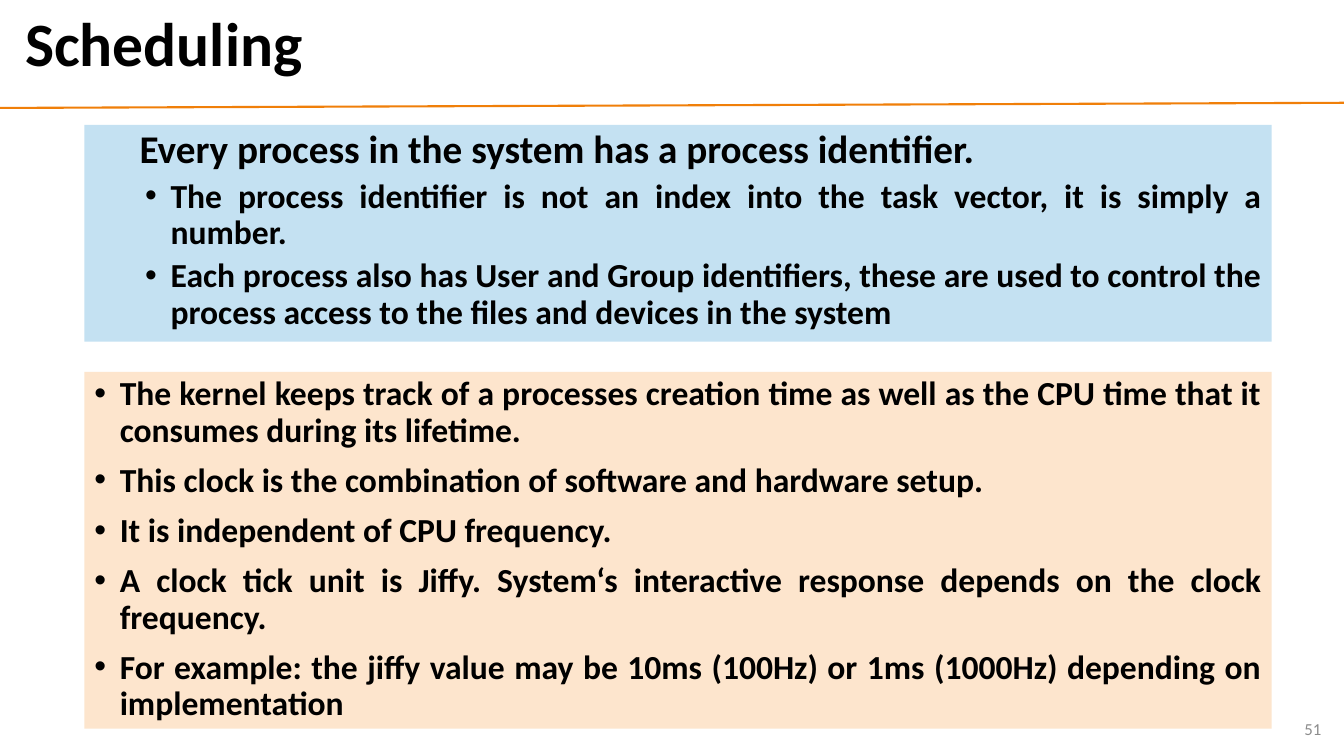
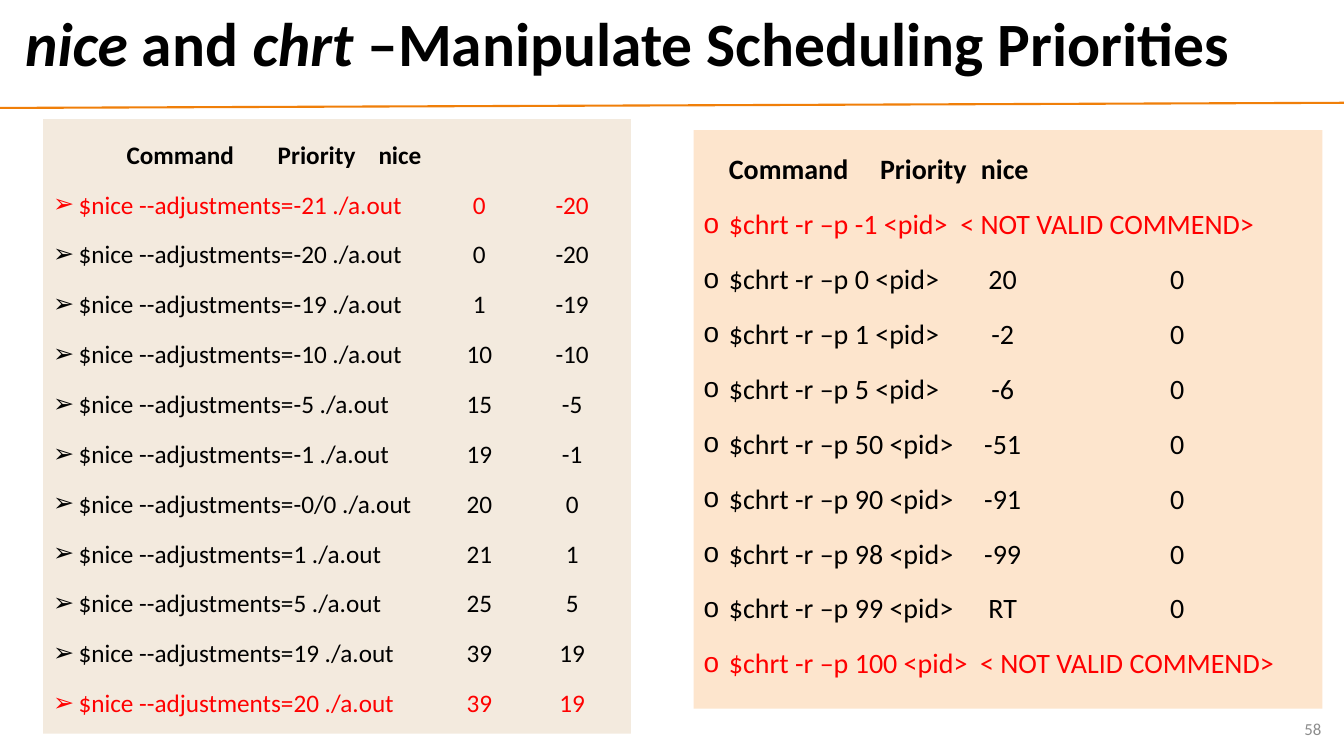
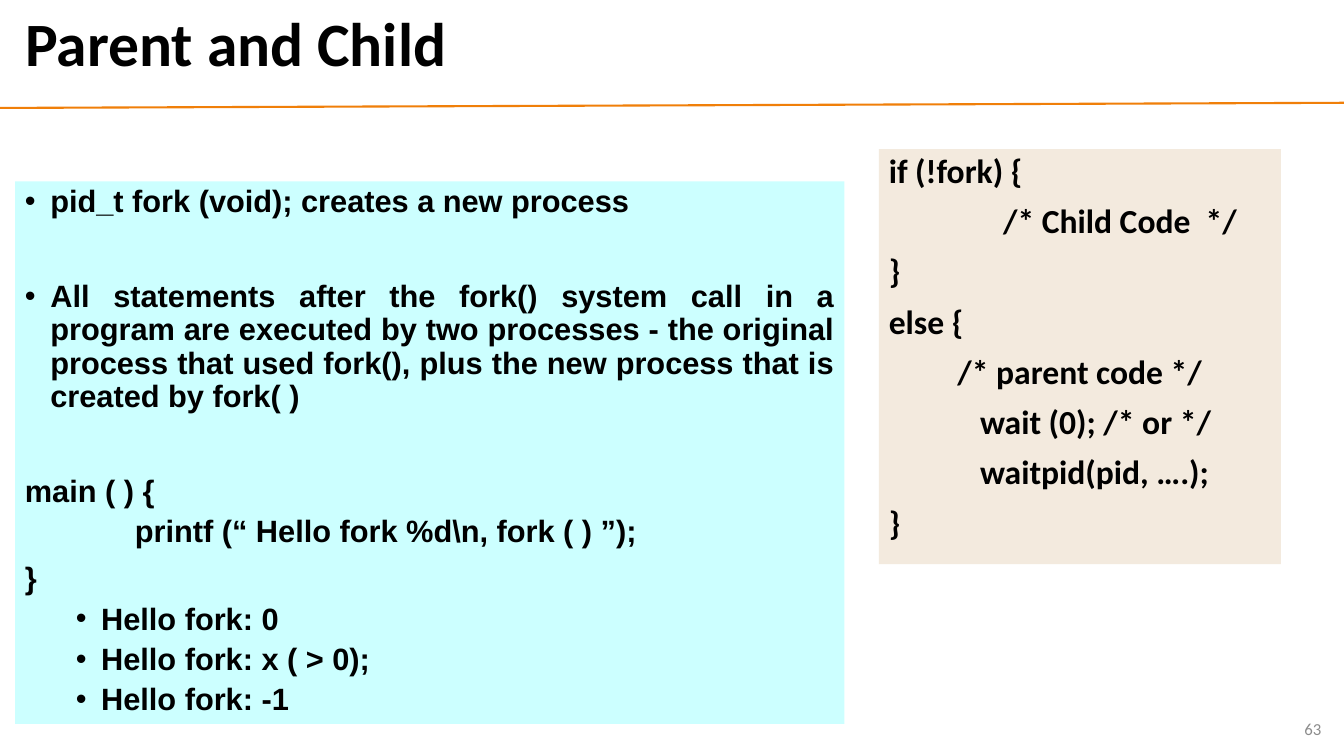
"""Builds three lecture slides on process scheduling."""
from lxml.etree import SubElement
from pptx import Presentation
from pptx.dml.color import RGBColor
from pptx.enum.shapes import MSO_CONNECTOR, MSO_SHAPE
from pptx.enum.text import MSO_ANCHOR, MSO_AUTO_SIZE, PP_ALIGN
from pptx.oxml.ns import qn
from pptx.util import Cm, Pt

HUES = {"ink": "000000", "red": "FF0000", "gray": "8C8C8C", "rule": "F07F09",
        "blue": "C4E1F2", "peach": "FDE5CD", "sand": "F3EADE", "aqua": "CCFFFF"}
STEP = 0.64
WIDTH, HEIGHT = 33.87, 19.05

DOT = {"mark": "•", "left": STEP, "hang": STEP}
SUB = {"mark": "•", "left": 3 * STEP, "hang": STEP, "before": 5}

IDENT = [
    ("Every process in the system has a process identifier.", {"size": 28, "left": 1.14}),
    ("The process identifier is not an index into the task vector, it is simply a number.", SUB),
    ("Each process also has User and Group identifiers, these are used to control the "
     "process access to the files and devices in the system", SUB),
]
CLOCK = [(text, DOT) for text in (
    "The kernel keeps track of a processes creation time as well as the CPU time that it "
    "consumes during its lifetime.",
    "This clock is the combination of software and hardware setup.",
    "It is independent of CPU frequency.",
    "A clock tick unit is Jiffy. System‘s interactive response depends on the clock frequency.",
    "For example: the jiffy value may be 10ms (100Hz) or 1ms (1000Hz) depending on implementation",
)]

NICE = [("-21", "0", "-20"), ("-20", "0", "-20"), ("-19", "1", "-19"), ("-10", "10", "-10"),
        ("-5", "15", "-5"), ("-1", "19", "-1"), ("-0/0", "20", "0"), ("1", "21", "1"),
        ("5", "25", "5"), ("19", "39", "19"), ("20", "39", "19")]
CHRT = [("0", "20"), ("1", "-2"), ("5", "-6"), ("50", "-51"), ("90", "-91"),
        ("98", "-99"), ("99", "RT")]
HEAD = "Command\tPriority\tnice"
NICE_ROWS = [f"$nice --adjustments={adj} ./a.out\t{prio}\t{nice}" for adj, prio, nice in NICE]
CHRT_ROWS = [f"$chrt -r –p {num} <pid>\t{prio}\t0" for num, prio in CHRT]
BAD = [f"$chrt -r –p {num} <pid>  < NOT VALID COMMEND>" for num in ("-1", "100")]
CHRT_ROWS = [BAD[0], *CHRT_ROWS, BAD[1]]

FORK = [
    ("pid_t fork (void); creates a new process", DOT),
    ("All statements after the fork() system call in a program are executed by two processes "
     "- the original process that used fork(), plus the new process that is created by fork( )",
     {**DOT, "before": 44}),
    ("main ( ) {", {"before": 44}),
    ("printf (“ Hello fork %d\\n, fork ( ) ”);", {"left": 2.77, "before": 5}),
    ("}", {}),
    ("Hello fork: 0", SUB),
    ("Hello fork: x ( > 0);", SUB),
    ("Hello fork: -1", SUB),
]
CODE = [(text, {"left": left}) for text, left in (
    ("if (!fork) {", 0), ("/* Child Code  */", 2.88), ("}", 0), ("else {", 0),
    ("/* parent code */", 1.73), ("wait (0); /* or */", 2.3),
    ("waitpid(pid, ….);", 2.3), ("}", 0))]


def grid(rows, mark, head, tabs):
    """Returns a heading and marked rows, the first and last of them red."""
    ends = (0, len(rows) - 1)
    return [(HEAD, {"bold": True, **head})] + [
        (text, {"mark": mark, "left": STEP, "hang": STEP, "tabs": tabs,
                "hue": "red" if i in ends else "ink"}) for i, text in enumerate(rows)]


BODY = {"align": PP_ALIGN.JUSTIFY, "bold": True, "size": 24}
LIST = {"space": 1.5, "before": 3.2}
MID = (("ctr", 7.54), ("ctr", 11.94))
NICE_HEAD = {"left": 1.85, "tabs": (("l", 8.46), ("l", 11.43))}
NICE_TABS = (("ctr", 10.74), ("ctr", 13.08))

SLIDES = [
    ([("Scheduling", False)], "51", [
        ((2.13, 3.15, 29.92, 5.46), "blue", IDENT, BODY),
        ((2.13, 9.37, 29.92, 8.99), "peach", CLOCK, {**BODY, "before": 5, "after": 5})]),
    ([("nice", True), (" and ", False), ("chrt", True),
      (" –Manipulate Scheduling Priorities", False)], "58", [
        ((17.48, 3.28, 15.85, 14.58), "peach",
         grid(CHRT_ROWS, "o", {"left": STEP, "tabs": MID}, MID), {**LIST, "size": 20}),
        ((1.09, 3, 14.81, 15.49), "sand",
         grid(NICE_ROWS, "➢", NICE_HEAD, NICE_TABS), {**LIST, "size": 18})]),
    ([("Parent and Child", False)], "63", [
        ((0.38, 4.57, 20.9, 13.67), "aqua", FORK, {**BODY, "size": 22, "font": "Arial"}),
        ((22.15, 3.76, 10.13, 10.46), "sand", CODE, {"bold": True, "size": 24})]),
]


def tint(hue):
    """Returns the named colour."""
    return RGBColor.from_string(HUES[hue])


def write(frame, text, size=24, font="Calibri", hue="ink", bold=False, align=PP_ALIGN.LEFT,
          space=0.9, before=10, after=0, left=0, hang=0, mark=None, tabs=()):
    """Adds a paragraph of text, or of (text, italic) parts, to a frame."""
    para = frame.add_paragraph() if frame.text else frame.paragraphs[0]
    para.alignment, para.line_spacing = align, space
    para.space_before, para.space_after = Pt(before), Pt(after)
    for part, slant in [(text, False)] if isinstance(text, str) else text:
        run = para.add_run()
        run.text = part
        face = run.font
        face.name, face.size, face.bold, face.italic = font, Pt(size), bold, slant
        face.color.rgb = tint(hue)
    prop = para._p.get_or_add_pPr()
    prop.set("marL", str(Cm(left)))
    prop.set("indent", str(-Cm(hang)))
    if mark:
        SubElement(prop, qn("a:buFont"), typeface="Arial")
        SubElement(prop, qn("a:buChar"), char=mark)
    else:
        SubElement(prop, qn("a:buNone"))
    if tabs:
        stops = SubElement(prop, qn("a:tabLst"))
        for algn, pos in tabs:
            SubElement(stops, qn("a:tab"), pos=str(Cm(pos)), algn=algn)


def place(shape, box):
    """Moves a shape to a box in centimetres."""
    shape.left, shape.top, shape.width, shape.height = map(Cm, box)


def panel(slide, box, hue, rows, base):
    """Adds a filled panel of paragraphs."""
    shape = slide.shapes.add_shape(MSO_SHAPE.RECTANGLE, *map(Cm, box))
    shape.shadow.inherit = False
    shape.fill.solid()
    shape.fill.fore_color.rgb = tint(hue)
    shape.line.fill.background()
    frame = shape.text_frame
    frame.word_wrap, frame.vertical_anchor = True, MSO_ANCHOR.TOP
    for text, fmt in rows:
        write(frame, text, **{**base, **fmt})


def rule(slide, layout):
    """Draws the orange rule and hands it to the layout."""
    line = slide.shapes.add_connector(
        MSO_CONNECTOR.STRAIGHT, Cm(0), Cm(2.72), Cm(WIDTH), Cm(2.59))
    line.line.color.rgb, line.line.width = tint("rule"), Pt(1.5)
    SubElement(line.element.spPr, qn("a:effectLst"))
    layout.shapes.element.append(line.element)


def main():
    """Builds and saves the deck."""
    deck = Presentation()
    deck.slide_width, deck.slide_height = Cm(WIDTH), Cm(HEIGHT)
    layout = deck.slide_layouts[5]
    for i, (title, num, parts) in enumerate(SLIDES):
        slide = deck.slides.add_slide(layout)
        if i == 0:
            rule(slide, layout)
        head = slide.shapes.title
        place(head, (0.38, 0.13, 32.74, 2.11))
        foot = slide.shapes.add_textbox(Cm(25.93), Cm(17.86), Cm(7.62), Cm(1.02))
        for frame in (head.text_frame, foot.text_frame):
            frame.word_wrap, frame.auto_size = True, MSO_AUTO_SIZE.NONE
            frame.vertical_anchor = MSO_ANCHOR.MIDDLE
        write(head.text_frame, title, size=44, bold=True, before=0)
        write(foot.text_frame, num, size=12, hue="gray", align=PP_ALIGN.RIGHT,
              space=1, before=0)
        for part in parts:
            panel(slide, *part)
    deck.save("out.pptx")


if __name__ == "__main__":
    main()
